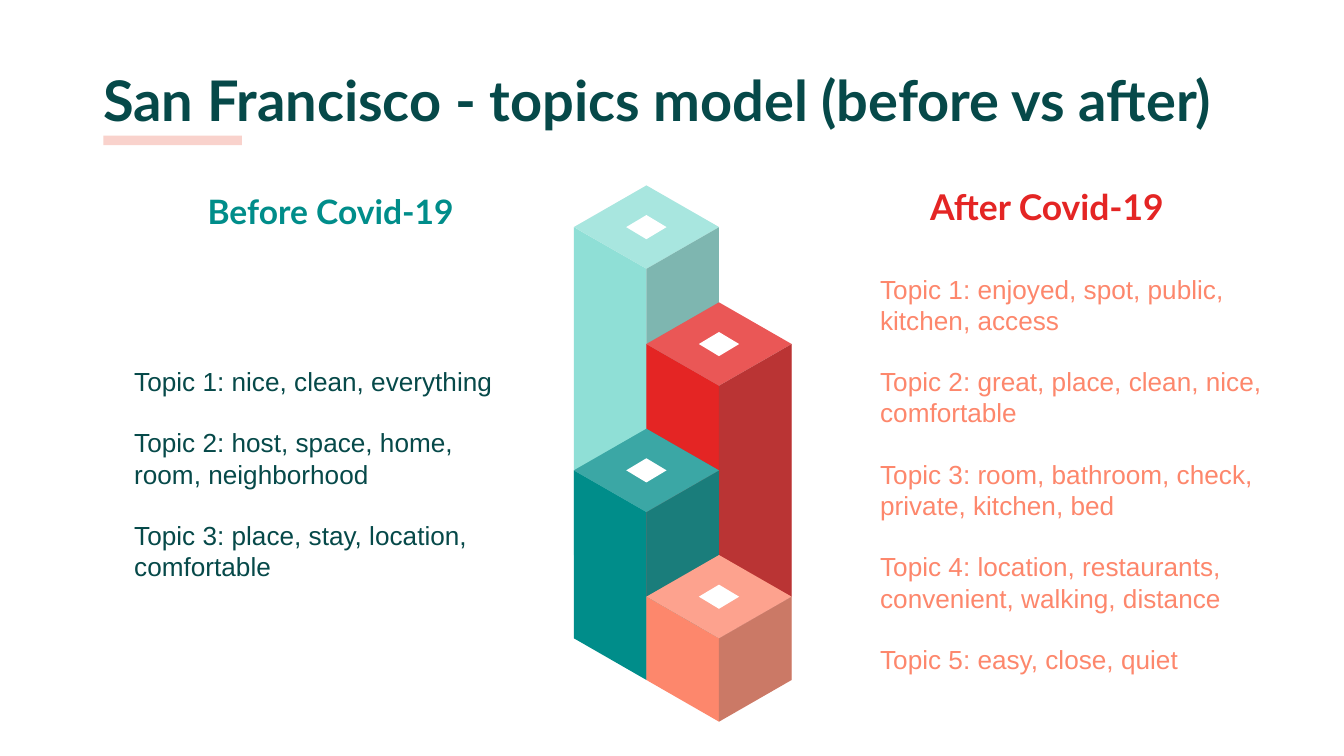
from lxml.etree import SubElement
from pptx import Presentation
from pptx.dml.color import RGBColor
from pptx.enum.shapes import MSO_SHAPE as Preset
from pptx.enum.text import MSO_ANCHOR as Anchor, PP_ALIGN as Align
from pptx.oxml.ns import qn
from pptx.util import Inches, Pt

DARK, TEAL, RED, CORAL, MINT = "064949", "008D8A", "E42524", "FD876C", "8FDFD6"
HALF_WIDTH, HALF_DEPTH = 0.54, 0.31

BEFORE_TOPICS = [
    "Topic 1: nice, clean, everything",
    "Topic 2: host, space, home, room, neighborhood",
    "Topic 3: place, stay, location, comfortable",
]
AFTER_TOPICS = [
    "Topic 1: enjoyed, spot, public, kitchen, access",
    "Topic 2: great, place, clean, nice, comfortable",
    "Topic 3: room, bathroom, check, private, kitchen, bed",
    "Topic 4: location, restaurants, convenient, walking, distance",
    "Topic 5: easy, close, quiet",
]
COLUMNS = [
    (4.81, 1.69, 2.44, MINT),
    (5.35, 2.56, 1.88, RED),
    (4.81, 3.5, 1.25, TEAL),
    (5.35, 4.44, 0.62, CORAL),
]


def rgb(color):
    return RGBColor.from_string(color)


def paint(shape, color, opacity=100):
    shape.shadow.inherit = False
    shape.line.fill.background()
    shape.fill.solid()
    shape.fill.fore_color.rgb = rgb(color)
    if opacity < 100:
        color_element = shape.fill._xPr.find(qn("a:solidFill"))[0]
        SubElement(color_element, qn("a:alpha"), val=str(opacity * 1000))


def add_text(slide, box, lines, size, color, font="Lato", bold=True,
             align=Align.LEFT, anchor=Anchor.TOP, gap=0):
    shape = slide.shapes.add_textbox(*map(Inches, box))
    frame = shape.text_frame
    frame.word_wrap = True
    frame.vertical_anchor = anchor
    frame.margin_left = frame.margin_right = Inches(0.1)
    frame.margin_top = frame.margin_bottom = Inches(0.1)
    for index, line in enumerate(lines):
        paragraph = frame.add_paragraph() if index else frame.paragraphs[0]
        paragraph.alignment = align
        paragraph.space_before = Pt(gap if index else 0)
        run = paragraph.add_run()
        run.text = line
        run.font.name = font
        run.font.size = Pt(size)
        run.font.bold = bold
        run.font.color.rgb = rgb(color)


def add_topics(slide, left, topics, color):
    add_text(slide, (left, 1.88, 3.12, 3.29), topics, 14, color, font="Arial",
             bold=False, anchor=Anchor.MIDDLE, gap=16)


def add_face(slide, points, color, opacity=100):
    corners = [(Inches(x), Inches(y)) for x, y in points]
    builder = slide.shapes.build_freeform(*corners[0], scale=1.0)
    builder.add_line_segments(corners[1:], close=True)
    paint(builder.convert_to_shape(), color, opacity)


def diamond(x, y, half_width, half_height):
    return [(x, y - half_height), (x - half_width, y),
            (x, y + half_height), (x + half_width, y)]


def side(x, y, height, offset):
    front = y + HALF_DEPTH
    return [(x + offset, y), (x, front), (x, front + height), (x + offset, y + height)]


def add_column(slide, x, y, height, color):
    top = diamond(x, y, HALF_WIDTH, HALF_DEPTH)
    right = side(x, y, height, HALF_WIDTH)
    add_face(slide, top, color)
    add_face(slide, side(x, y, height, -HALF_WIDTH), color)
    add_face(slide, right, color)
    add_face(slide, right, "595959", opacity=30)
    add_face(slide, top, "FFFFFF", opacity=23)
    add_face(slide, diamond(x, y, 0.15, 0.09), "FFFFFF")


def main():
    presentation = Presentation()
    presentation.slide_width = Inches(10)
    presentation.slide_height = Inches(10) * 9 // 16
    slide = presentation.slides.add_slide(presentation.slide_layouts[6])

    add_text(slide, (0.67, 0.39, 9.32, 0.63),
             ["San Francisco - topics model (before vs after)"], 30, DARK)
    underline = slide.shapes.add_shape(
        Preset.RECTANGLE, *map(Inches, (0.77, 1.01, 1.03, 0.07)))
    paint(underline, "F4AA9E", opacity=52)

    for column in COLUMNS:
        add_column(slide, *column)

    add_text(slide, (0.75, 1.32, 3.42, 0.5), ["Before Covid-19"], 18, TEAL,
             align=Align.CENTER)
    add_text(slide, (6.08, 1.28, 3.42, 0.5), ["After Covid-19"], 19, RED,
             align=Align.CENTER)
    add_topics(slide, 0.9, BEFORE_TOPICS, DARK)
    add_topics(slide, 6.45, AFTER_TOPICS, CORAL)

    presentation.save("out.pptx")


if __name__ == "__main__":
    main()
